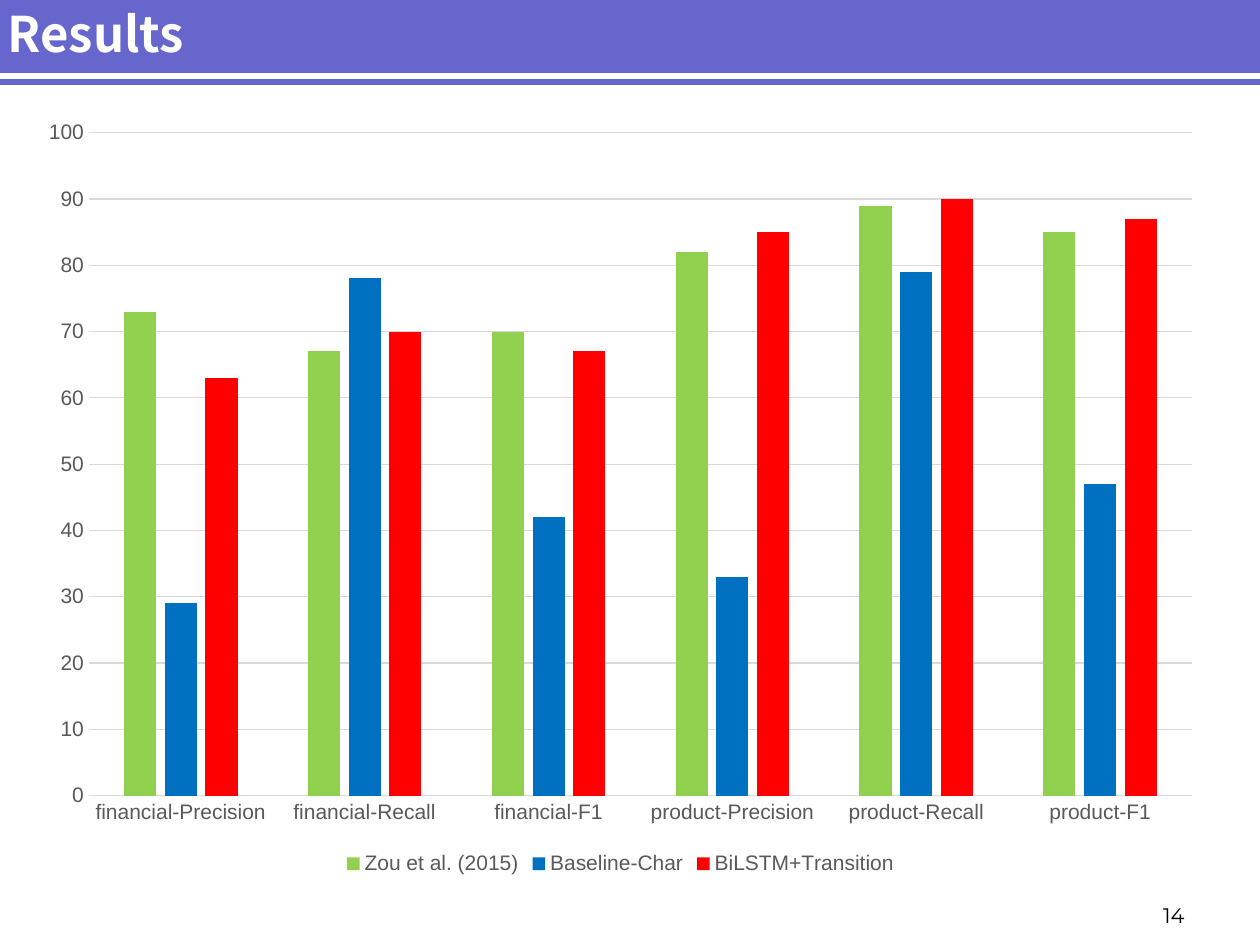
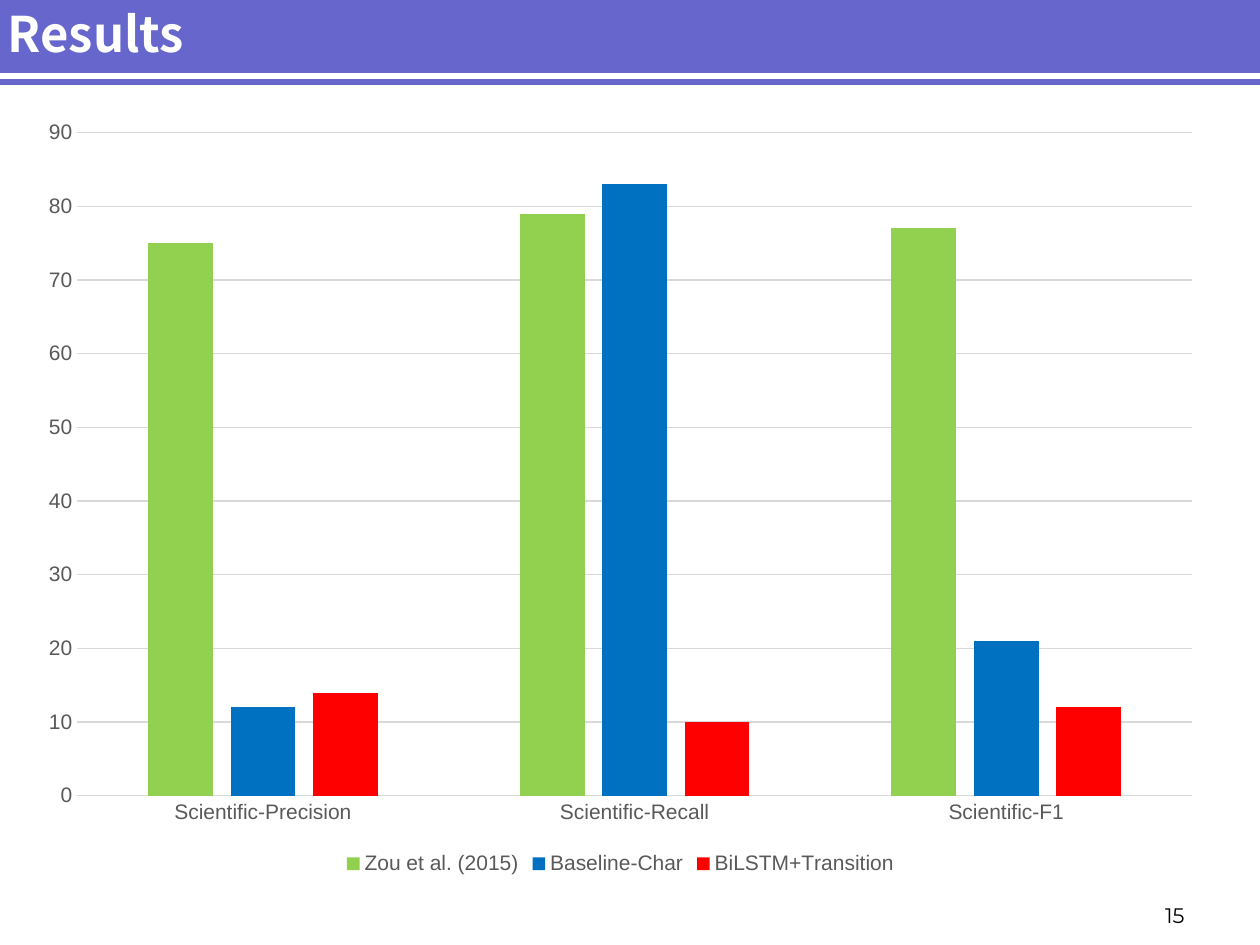
"""Build two result slides, each with a clustered column chart."""
import pptx
import pptx.chart.data
import pptx.dml.color
import pptx.enum.chart
import pptx.enum.shapes
import pptx.enum.text
import pptx.oxml
import pptx.oxml.ns
import pptx.util

RGB = pptx.dml.color.RGBColor
BAND = RGB(0x66, 0x66, 0xCC)
WHITE = RGB(0xFF, 0xFF, 0xFF)
BLACK = RGB(0, 0, 0)
GREY = RGB(0x59, 0x59, 0x59)
RULE = RGB(0xD9, 0xD9, 0xD9)
GREEN = RGB(0x92, 0xD0, 0x50)
BLUE = RGB(0, 0x70, 0xC0)
RED = RGB(0xFF, 0, 0)

MODELS = [("Zou et al. (2015)", GREEN), ("Baseline-Char", BLUE), ("BiLSTM+Transition", RED)]
METRICS = ["Precision", "Recall", "F1"]
RESULTS = [
    (14, 100, ["financial", "product"],
     [(73, 67, 70, 82, 89, 85), (29, 78, 42, 33, 79, 47), (63, 70, 67, 85, 90, 87)]),
    (15, 90, ["Scientific"], [(75, 79, 77), (12, 83, 21), (14, 10, 12)]),
]


def px(*sizes):
    """Turn pixels into EMU."""
    return [pptx.util.Emu(round(size * 914400 / 126)) for size in sizes]


def set_font(font, name, size, color, bold=False):
    """Set the face, size, colour and weight of a font."""
    font.name, font.size, font.bold = name, pptx.util.Pt(size), bold
    font.color.rgb = color


def set_line(line, color, width):
    """Set the colour and width of a line."""
    line.color.rgb = color
    line.width = pptx.util.Pt(width)


def add_band(slide):
    """Put the title band and its white rule on the slide's layout."""
    band = slide.shapes.add_shape(pptx.enum.shapes.MSO_SHAPE.RECTANGLE, *px(-5, -4, 1265, 89))
    band.shadow.inherit = False
    band.fill.solid()
    band.fill.fore_color.rgb = BAND
    band.line.fill.background()
    rule = slide.shapes.add_connector(
        pptx.enum.shapes.MSO_CONNECTOR.STRAIGHT, *px(-5, 76, 1260, 76))
    set_line(rule.line, WHITE, 3)
    rule.element.spPr.append(pptx.oxml.parse_xml(
        "<a:effectLst %s/>" % pptx.oxml.ns.nsdecls("a")))
    for shape in (band, rule):
        slide.slide_layout.shapes.element.append(shape.element)


def add_title(slide, text):
    """Fill and format the title placeholder."""
    title = slide.shapes.title
    title.left, title.top, title.width, title.height = px(-5, 6, 1105, 54)
    frame = title.text_frame
    frame.text = text
    frame.auto_size = pptx.enum.text.MSO_AUTO_SIZE.NONE
    frame.vertical_anchor = pptx.enum.text.MSO_ANCHOR.MIDDLE
    para = frame.paragraphs[0]
    para.alignment = pptx.enum.text.PP_ALIGN.LEFT
    set_font(para.font, "Noto Sans CJK SC", 28, WHITE, True)


def add_page(slide, number):
    """Add the page number at the bottom right."""
    frame = slide.shapes.add_textbox(*px(1086, 890, 111, 44)).text_frame
    frame.word_wrap = True
    frame.vertical_anchor = pptx.enum.text.MSO_ANCHOR.BOTTOM
    para = frame.paragraphs[0]
    para.text = str(number)
    para.alignment = pptx.enum.text.PP_ALIGN.RIGHT
    set_font(para.font, "Montserrat", 12, BLACK)


def style_axes(chart, top):
    """Format both axes and the grid."""
    for axis in (chart.category_axis, chart.value_axis):
        axis.major_tick_mark = axis.minor_tick_mark = pptx.enum.chart.XL_TICK_MARK.NONE
        set_font(axis.tick_labels.font, "Arial", 12, GREY)
    set_line(chart.category_axis.format.line, RULE, 0.75)
    scale = chart.value_axis
    scale.minimum_scale, scale.maximum_scale, scale.major_unit = 0, top, 10
    scale.format.line.fill.background()
    scale.has_major_gridlines = True
    set_line(scale.major_gridlines.format.line, RULE, 0.75)


def add_chart(slide, top, fields, scores):
    """Add the column chart that compares the models."""
    data = pptx.chart.data.CategoryChartData()
    data.categories = [f"{field}-{metric}" for field in fields for metric in METRICS]
    for (name, _), row in zip(MODELS, scores):
        data.add_series(name, row)
    chart = slide.shapes.add_chart(
        pptx.enum.chart.XL_CHART_TYPE.COLUMN_CLUSTERED, *px(25, 106, 1191, 774), data).chart
    set_font(chart.font, "Arial", 10, BLACK)
    chart.has_title = False
    chart.has_legend = True
    chart.legend.position = pptx.enum.chart.XL_LEGEND_POSITION.BOTTOM
    chart.legend.include_in_layout = False
    set_font(chart.legend.font, "Arial", 12, GREY)
    style_axes(chart, top)
    plot = chart.plots[0]
    plot.gap_width, plot.overlap, plot.vary_by_categories = 219, -27, False
    for series, (_, color) in zip(plot.series, MODELS):
        series.format.fill.solid()
        series.format.fill.fore_color.rgb = color


def main():
    """Build and save the deck."""
    deck = pptx.Presentation()
    deck.slide_width, deck.slide_height = px(1260, 945)
    layout = deck.slide_layouts[5]
    for index, (number, top, fields, scores) in enumerate(RESULTS):
        slide = deck.slides.add_slide(layout)
        if index == 0:
            add_band(slide)
        add_chart(slide, top, fields, scores)
        add_title(slide, "Results")
        add_page(slide, number)
    deck.save("out.pptx")


main()
